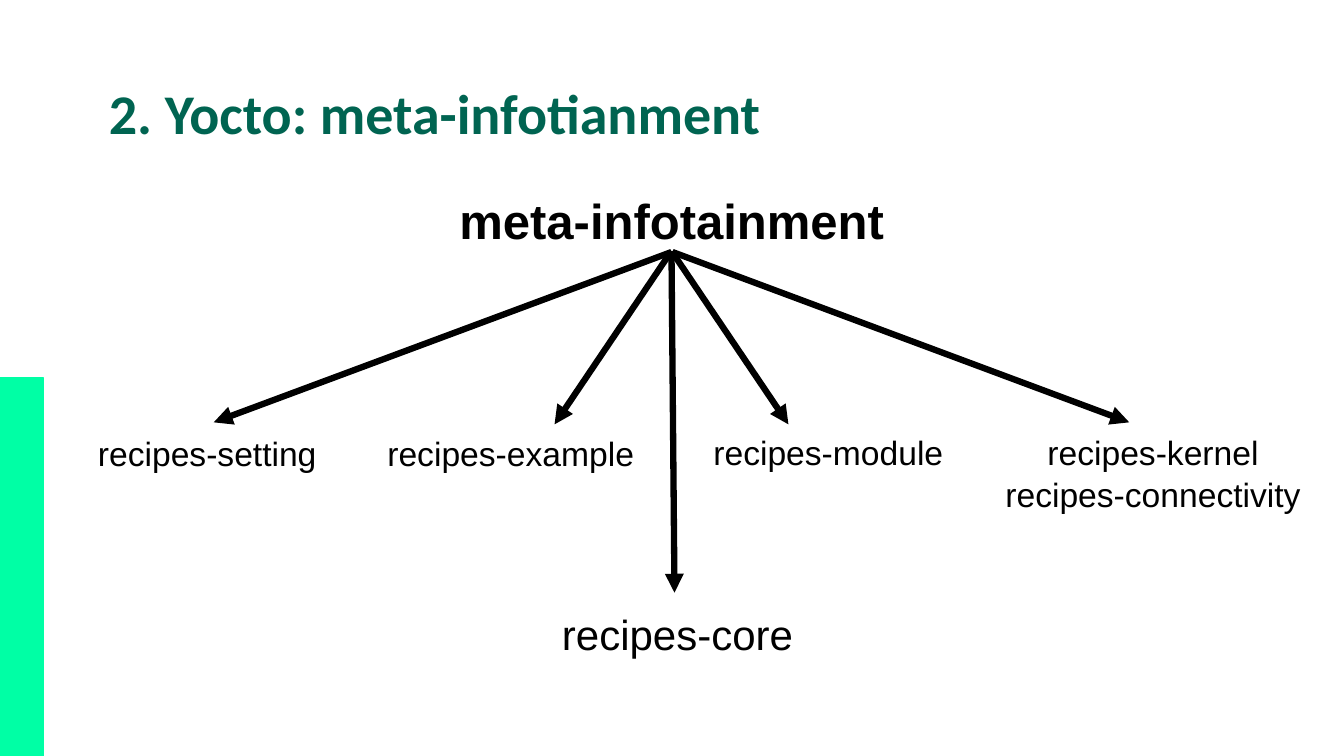
from pptx import Presentation
from pptx.dml.color import RGBColor
from pptx.enum import shapes, text
from pptx.oxml.ns import qn
from pptx.util import Inches, Pt
from lxml import etree

BLACK = RGBColor(0, 0, 0)
GREEN = RGBColor(0x00, 0x64, 0x51)
MINT = RGBColor(0x00, 0xFF, 0xA5)

TITLE = "2. Yocto: meta-infotianment"
LABELS = [
    (["meta-infotainment"], 35, True, (4.33, 1.81, 4.67, 0.93)),
    (["recipes-setting"], 24, False, (0.68, 4.22, 2.75, 0.74)),
    (["recipes-example"], 24, False, (3.21, 4.22, 3.71, 0.74)),
    (["recipes-module"], 24, False, (6.36, 4.21, 3.71, 0.74)),
    (["recipes-kernel", "recipes-connectivity"], 24, False,
     (9.79, 4.21, 3.29, 1.14)),
    (["recipes-core"], 30, False, (5.12, 5.96, 3.2, 0.84)),
]
ARROWS = [
    ((6.66, 2.5), (2.12, 4.19)),
    ((6.64, 2.52), (5.5, 4.21)),
    ((6.66, 2.49), (6.69, 5.88)),
    ((6.68, 2.52), (7.82, 4.21)),
    ((6.67, 2.5), (11.2, 4.19)),
]


def write(shape, lines, size, face, color, bold, align):
    frame = shape.text_frame
    frame.word_wrap = True
    frame.auto_size = text.MSO_AUTO_SIZE.NONE
    frame.vertical_anchor = text.MSO_ANCHOR.TOP
    frame.text = "\n".join(lines)
    for para in frame.paragraphs:
        para.alignment = align
        para.line_spacing = 1.06
        para.space_before = Pt(0)
        font = para.font
        font.name, font.size, font.bold = face, Pt(size), bold
        font.color.rgb = color


def arrow(slide, start, end):
    line = slide.shapes.add_connector(
        shapes.MSO_CONNECTOR.STRAIGHT, *map(Inches, start + end))
    line.line.color.rgb = BLACK
    line.line.width = Pt(4.5)
    tail = etree.SubElement(line.line._get_or_add_ln(), qn("a:tailEnd"))
    tail.set("type", "triangle")
    etree.SubElement(line._element.spPr, qn("a:effectLst"))


def main():
    deck = Presentation()
    deck.slide_width, deck.slide_height = Inches(13.33), Inches(7.5)
    slide = deck.slides.add_slide(deck.slide_layouts[5])

    title = slide.shapes.title
    title.left, title.top = Inches(0.98), Inches(0.69)
    title.width, title.height = Inches(8.47), Inches(0.77)
    write(title, [TITLE], 40, "Calibri", GREEN, True, text.PP_ALIGN.LEFT)

    band = slide.shapes.add_shape(
        shapes.MSO_SHAPE.RECTANGLE, 0, Inches(3.75), Inches(0.43), Inches(3.75))
    band.shadow.inherit = False
    band.fill.solid()
    band.fill.fore_color.rgb = MINT
    band.line.color.rgb = MINT
    band.line.width = Pt(1)

    for lines, size, bold, place in LABELS:
        box = slide.shapes.add_textbox(*map(Inches, place))
        write(box, lines, size, "Arial", BLACK, bold, text.PP_ALIGN.CENTER)

    for start, end in ARROWS:
        arrow(slide, start, end)

    deck.save("out.pptx")


if __name__ == "__main__":
    main()
